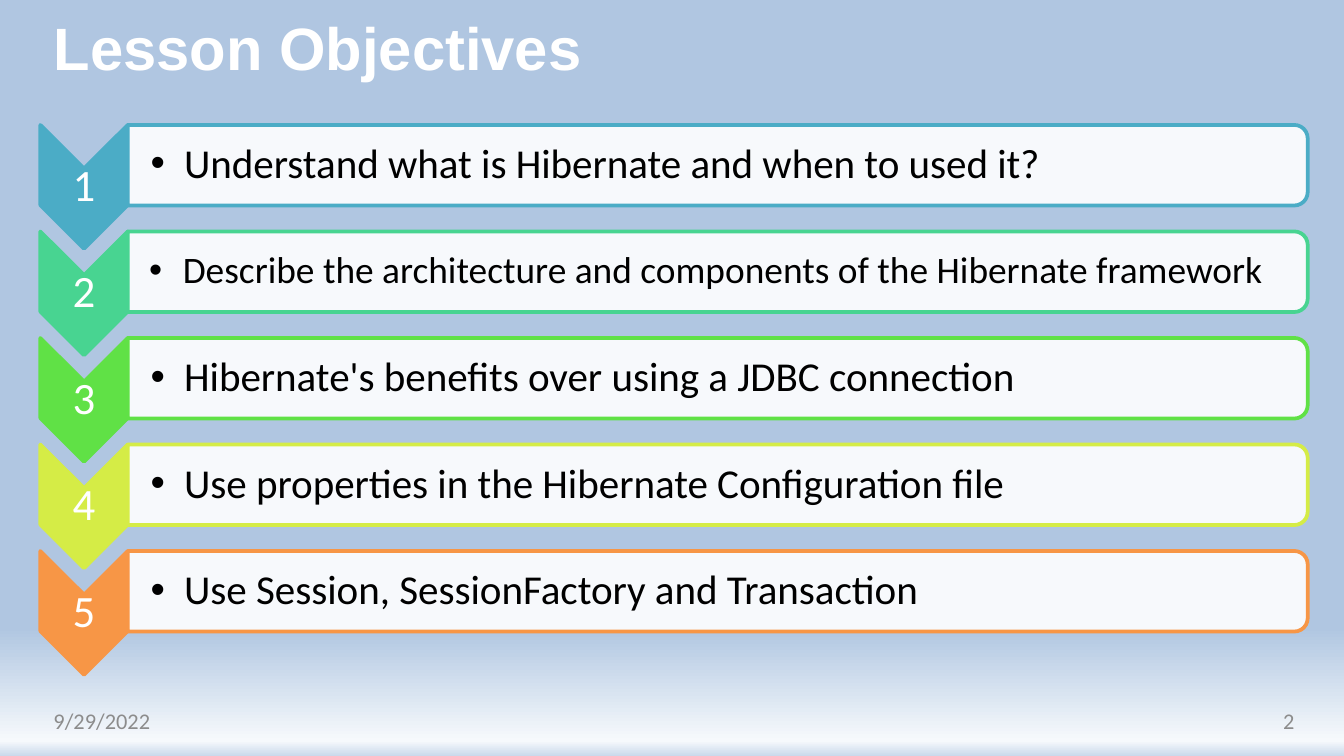
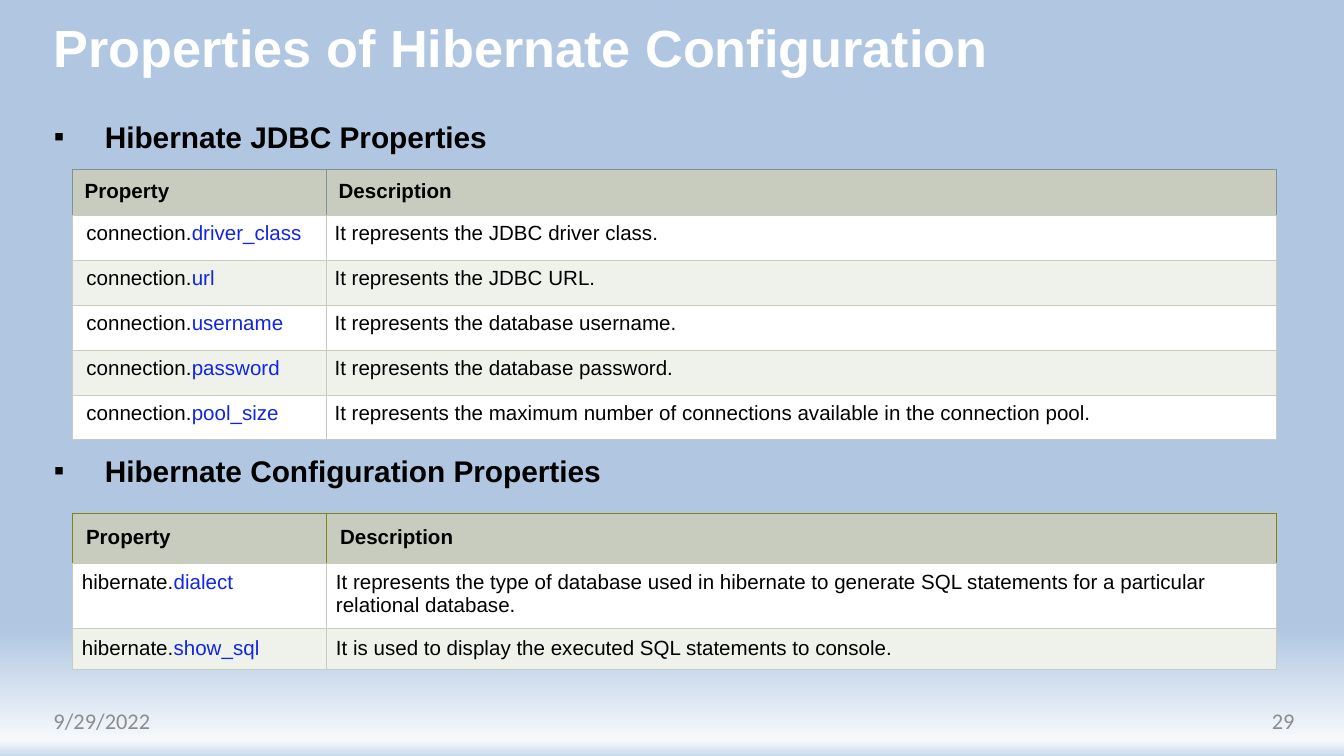
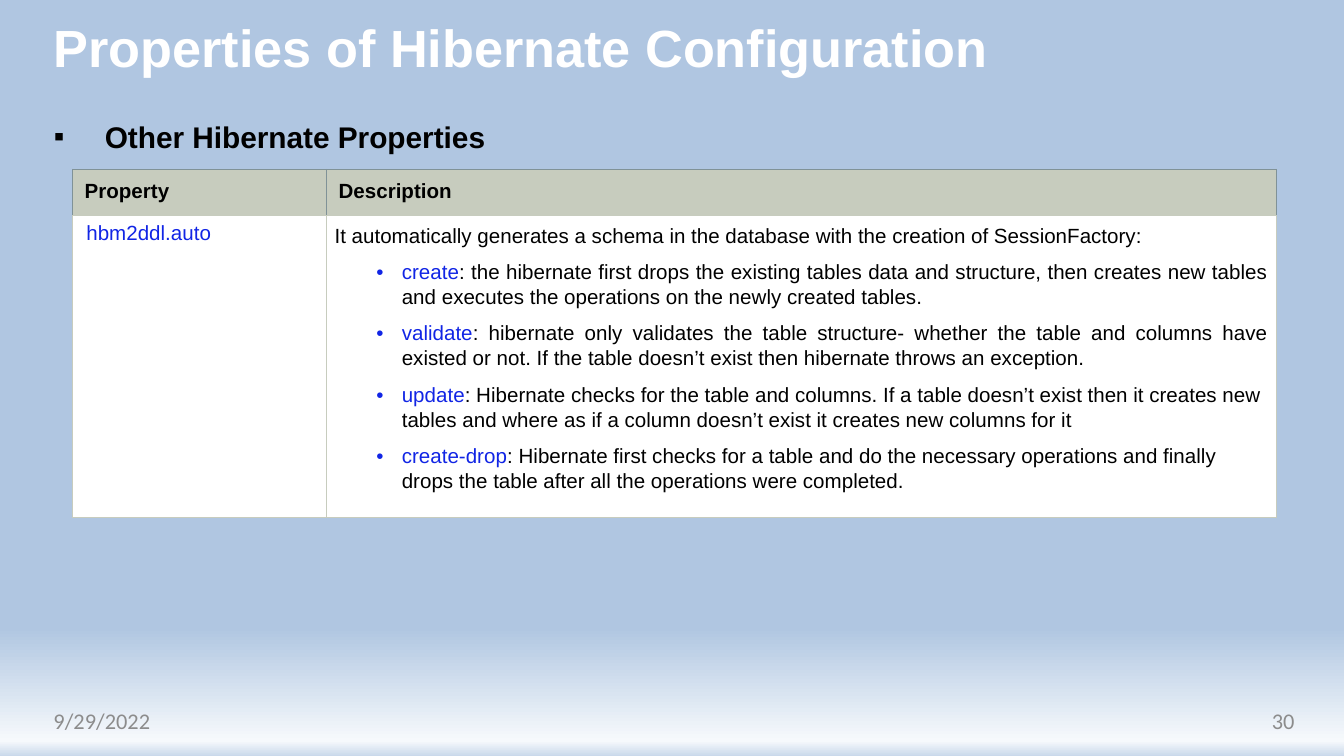
import lxml.etree
import pptx
import pptx.dml.color
import pptx.enum.shapes
import pptx.enum.text
import pptx.oxml.ns
import pptx.util

Inches = pptx.util.Inches
Pt = pptx.util.Pt
qn = pptx.oxml.ns.qn
SHAPE = pptx.enum.shapes.MSO_SHAPE
ALIGN = pptx.enum.text.PP_ALIGN
ANCHOR = pptx.enum.text.MSO_ANCHOR

WHITE, BLACK, GREY, BLUE = "FFFFFF", "000000", "8C8C8C", "1125E5"
HEAD, BAND, EDGE, OLIVE = "C7CCBE", "EFF1EB", "809297", "808413"
SKY = [(74, "B0C6E1"), (83, "B0C6E1"), (98, "F6F9FC"), (100, "CAD9EB")]
DATE = "9/29/2022"
COLS = [1.89, 7.07]
TOP = ("Property", "Description")

GOALS = [
    ("Understand what is Hibernate and when to used it?", "4BACC6", 22),
    ("Describe the architecture and components of the Hibernate framework", "48D491", 20),
    ("Hibernate's benefits over using a JDBC connection", "60E146", 22),
    ("Use properties in the Hibernate Configuration file", "D5EC46", 22),
    ("Use Session, SessionFactory and Transaction", "F79646", 22),
]

JDBC = [
    TOP,
    (" connection.|driver_class", "It represents the JDBC driver class."),
    (" connection.|url", "It represents the JDBC URL."),
    (" connection.|username", "It represents the database username."),
    (" connection.|password", "It represents the database password."),
    (" connection.|pool_size",
     "It represents the maximum number of connections available in the connection pool."),
]

CONFIG = [
    TOP,
    ("hibernate.|dialect",
     "It represents the type of database used in hibernate to generate SQL statements "
     "for a particular relational database."),
    ("hibernate.|show_sql", "It is used to display the executed SQL statements to console."),
]

OTHER = [
    TOP,
    (" |hbm2ddl.auto", ""),
]
INTRO = "It automatically generates a schema in the database with the creation of SessionFactory:"
MODES = [
    ("|create|: the hibernate first drops the existing tables data and structure, then creates "
     "new tables and executes the operations on the newly created tables.", ALIGN.JUSTIFY),
    ("|validate|: hibernate only validates the table structure- whether the table and columns "
     "have existed or not. If the table doesn’t exist then hibernate throws an exception.",
     ALIGN.JUSTIFY),
    ("|update|: Hibernate checks for the table and columns. If a table doesn’t exist then it "
     "creates new tables and where as if a column doesn’t exist it creates new columns for it",
     ALIGN.LEFT),
    ("|create-drop|: Hibernate first checks for a table and do the necessary operations and "
     "finally drops the table after all the operations were completed.", ALIGN.LEFT),
]


def rgb(code):
    return pptx.dml.color.RGBColor.from_string(code)


def write(frame, text, size=11, font="Arial", color=BLACK, bold=False, align=ALIGN.LEFT,
          level=0, bullet=None, indent=None, lines=None, before=None):
    para = frame.paragraphs[0]
    if para.runs:
        para = frame.add_paragraph()
    para.alignment = align
    para.level = level
    if lines:
        para.line_spacing = lines
    if before is not None:
        para.space_before = Pt(before)
    if bullet:
        props = para._p.get_or_add_pPr()
        left, hang = indent
        props.set("marL", str(Inches(left)))
        props.set("indent", str(Inches(-hang)))
        lxml.etree.SubElement(props, qn("a:buFont")).set("typeface", "Arial")
        lxml.etree.SubElement(props, qn("a:buChar")).set("char", bullet)
    for spot, part in enumerate(text.split("|")):
        if part:
            run = para.add_run()
            run.text = part
            run.font.size = Pt(size)
            run.font.name = font
            run.font.bold = bold
            run.font.color.rgb = rgb(BLUE if spot % 2 else color)


def place(shape, left, top, width, height):
    shape.left, shape.top = Inches(left), Inches(top)
    shape.width, shape.height = Inches(width), Inches(height)


def label(shapes, box, text, pads=(0.1, 0.1, 0.05), **style):
    frame = shapes.add_textbox(*map(Inches, box)).text_frame
    frame.word_wrap = True
    frame.vertical_anchor = ANCHOR.MIDDLE
    left, right, edge = map(Inches, pads)
    frame.margin_left, frame.margin_right = left, right
    frame.margin_top = frame.margin_bottom = edge
    write(frame, text, **style)


def turned(shapes, kind, box, fill, line):
    left, top, width, height = box
    shift = (width - height) / 2
    shape = shapes.add_shape(
        kind, Inches(left + shift), Inches(top - shift), Inches(height), Inches(width))
    shape.rotation = 90
    shape.shadow.inherit = False
    shape.fill.solid()
    shape.fill.fore_color.rgb = rgb(fill)
    shape.line.color.rgb = rgb(line)
    shape.line.width = Pt(2)
    return shape


def paint(master):
    fill = master.background.fill
    fill.gradient()
    fill.gradient_angle = 270
    stops = next(master.element.iter(qn("p:bgPr"))).find(".//" + qn("a:gsLst"))
    for stop in list(stops):
        stops.remove(stop)
    for spot, code in SKY:
        stop = lxml.etree.SubElement(stops, qn("a:gs"), pos=str(spot * 1000))
        lxml.etree.SubElement(stop, qn("a:srgbClr"), val=code)


def start(deck, layout, title, size, number):
    slide = deck.slides.add_slide(deck.slide_layouts[layout])
    head = slide.shapes.title
    place(head, 0.3, 0, 7.53, 0.7)
    head.text_frame.vertical_anchor = ANCHOR.MIDDLE
    write(head.text_frame, title, size=size, color=WHITE, bold=True)
    foot = dict(size=12, font="Calibri", color=GREY)
    label(slide.shapes, (0.3, 5.21, 1.5, 0.3), DATE, **foot)
    label(slide.shapes, (9, 5.21, 0.73, 0.3), number, align=ALIGN.RIGHT, **foot)
    return slide


def topics(slide, names):
    body = slide.placeholders[1]
    place(body, 0.3, 0.83, 9.43, 4.19)
    body.text_frame.auto_size = pptx.enum.text.MSO_AUTO_SIZE.NONE
    for spot, name in enumerate(names):
        write(body.text_frame, name, size=16, bold=True, bullet="▪", indent=(0.38, 0.38),
              before=160 if spot else None)


def border(cell, codes):
    props = cell._tc.get_or_add_tcPr()
    for spot, (side, code) in enumerate(zip("LRTB", codes)):
        line = lxml.etree.Element(qn("a:ln" + side), w=str(Pt(0.6)))
        fill = lxml.etree.SubElement(line, qn("a:solidFill"))
        lxml.etree.SubElement(fill, qn("a:srgbClr"), val=code)
        props.insert(spot, line)


def grid(slide, top, rows, highs, pads, edge):
    table = slide.shapes.add_table(
        len(rows), len(COLS), Inches(0.54), Inches(top),
        Inches(sum(COLS)), Inches(sum(highs))).table
    table.first_row = table.horz_banding = False
    for col, width in zip(table.columns, COLS):
        col.width = Inches(width)
    for y, (row, high) in enumerate(zip(rows, highs)):
        table.rows[y].height = Inches(high)
        pad = pads[min(y, 1)]
        for x, text in enumerate(row):
            cell = table.cell(y, x)
            cell.margin_left = cell.margin_right = Inches(pad)
            cell.margin_top = cell.margin_bottom = Inches(pad - 0.01)
            cell.fill.solid()
            cell.fill.fore_color.rgb = rgb((WHITE if y % 2 else BAND) if y else HEAD)
            border(cell, [HEAD] * 4 if y else [edge] * 3 + [HEAD])
            if text:
                write(cell.text_frame, text, bold=y == 0)
    return table


def goals(deck):
    slide = start(deck, 5, "Lesson Objectives", 32, "2")
    shapes = slide.shapes.add_group_shape().shapes
    step = 3.17 / 4
    for spot, (text, color, size) in enumerate(GOALS):
        top = 0.93 + spot * step
        turned(shapes, SHAPE.CHEVRON, (0.3, top, 0.65, 0.92), color, color)
        label(shapes, (0.3, top + 0.32, 0.65, 0.28), str(spot + 1), (0.02, 0.02, 0.02),
              size=24, font="Calibri", color=WHITE, align=ALIGN.CENTER, lines=0.9)
        bar = turned(shapes, SHAPE.ROUND_2_SAME_RECTANGLE, (0.95, top, 8.78, 0.6), WHITE, color)
        tint = next(bar.element.iter(qn("a:srgbClr")))
        lxml.etree.SubElement(tint, qn("a:alpha"), val="90000")
        pads = (0.17, 0.02, 0.02) if size == 22 else (0.16, 0.01, 0.01)
        label(shapes, (0.95, top + 0.03, 8.75, 0.54), text, pads, size=size, font="Calibri",
              level=1, bullet="•", indent=(0.25, 0.25), lines=0.9)


def main():
    deck = pptx.Presentation()
    deck.slide_width = Inches(10)
    deck.slide_height = deck.slide_width * 9 // 16
    paint(deck.slide_master)
    goals(deck)

    title = "Properties of Hibernate Configuration"
    slide = start(deck, 1, title, 28, "29")
    topics(slide, ["Hibernate JDBC Properties", "Hibernate Configuration Properties"])
    grid(slide, 1.26, JDBC, [0.34] + [1.67 / 5] * 5, (0.09, 0.06), EDGE)
    grid(slide, 3.82, CONFIG, [0.37, 0.48, 0.3], (0.1, 0.07), OLIVE)

    slide = start(deck, 1, title, 28, "30")
    topics(slide, ["Other Hibernate Properties"])
    table = grid(slide, 1.26, OTHER, [0.34, 0.33], (0.09, 0.06), EDGE)
    frame = table.cell(1, 1).text_frame
    write(frame, INTRO, lines=1.1, before=6)
    for text, align in MODES:
        write(frame, text, align=align, level=1, bullet="•", indent=(0.5, 0.19),
              lines=1.1, before=6)

    deck.save("out.pptx")


if __name__ == "__main__":
    main()
